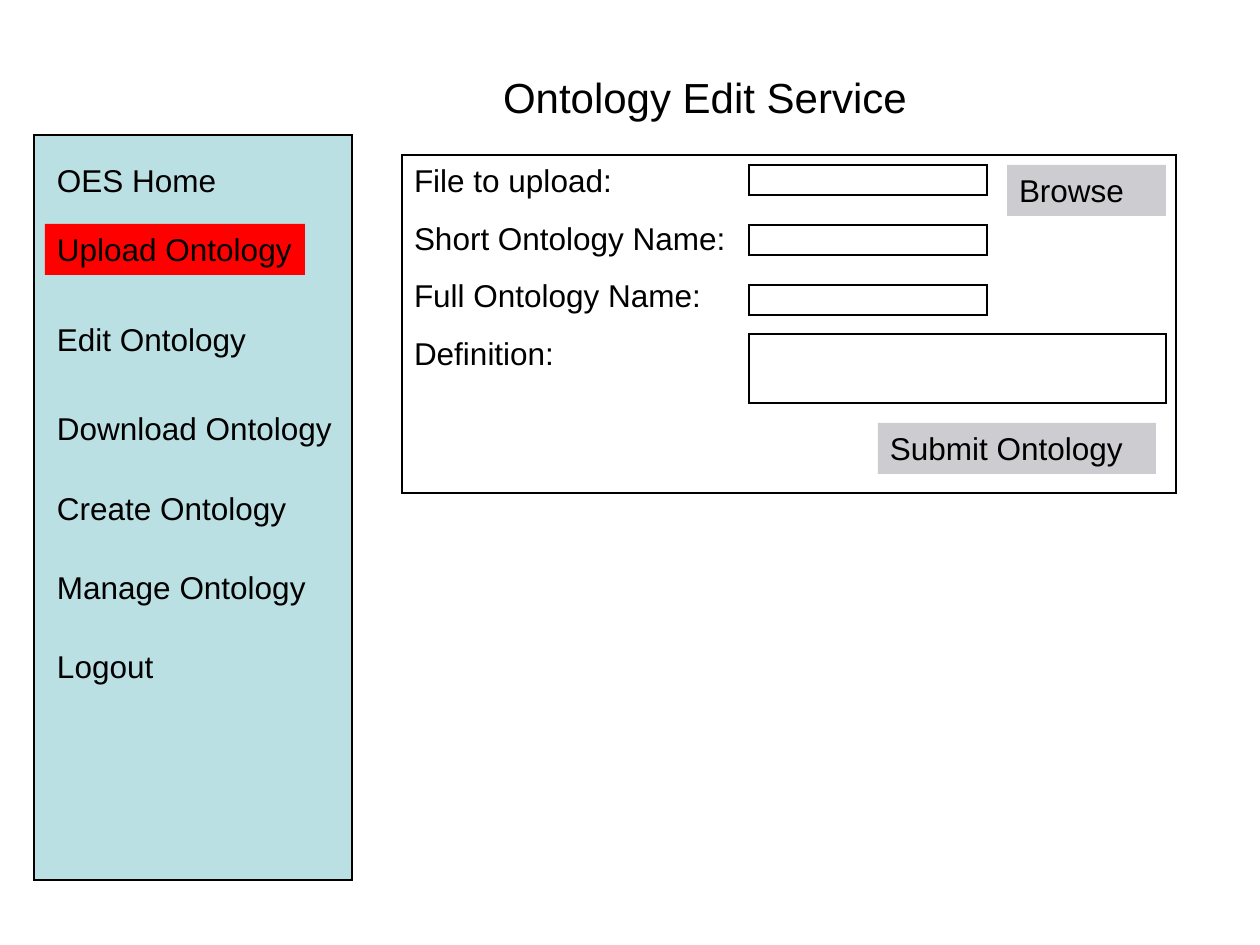
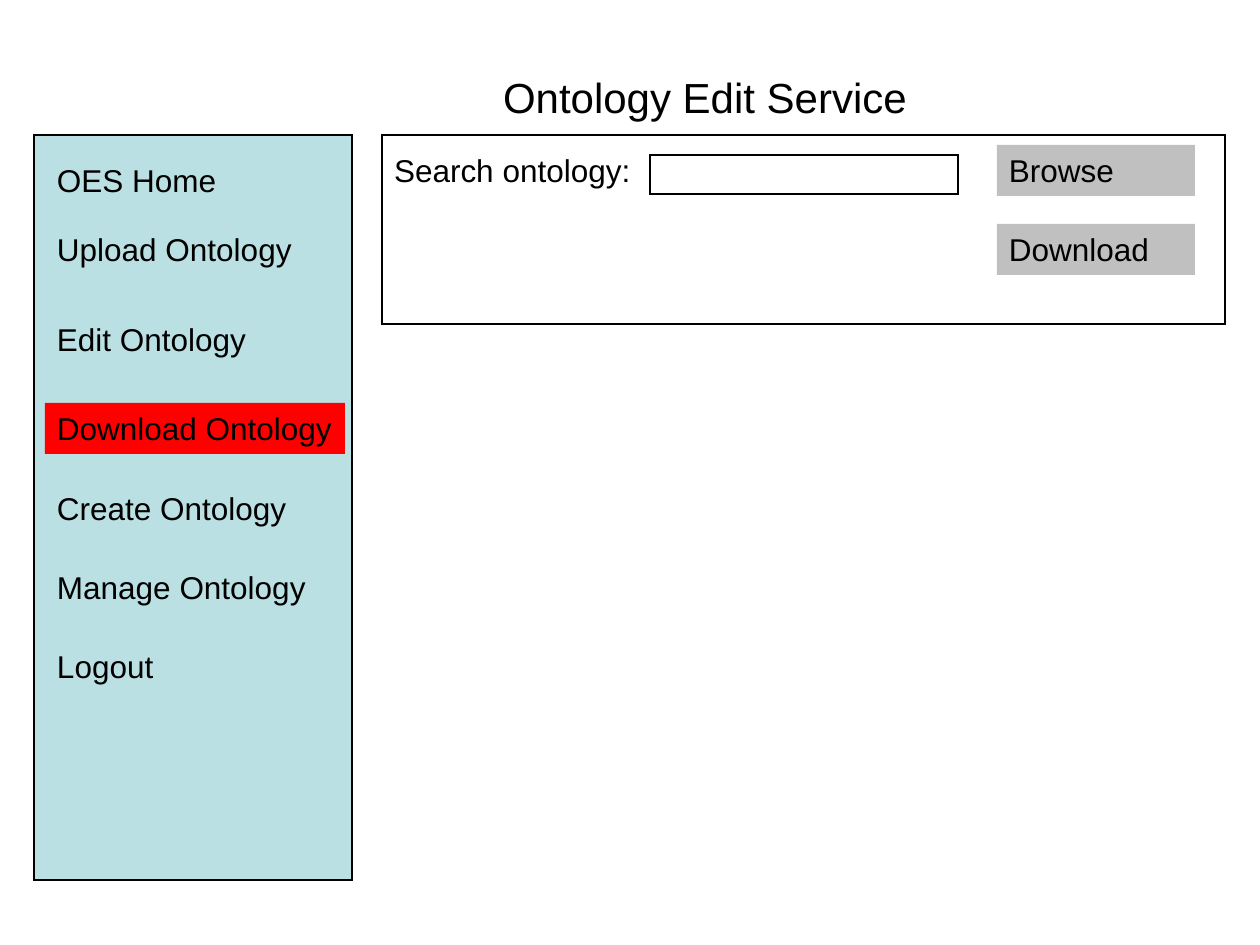
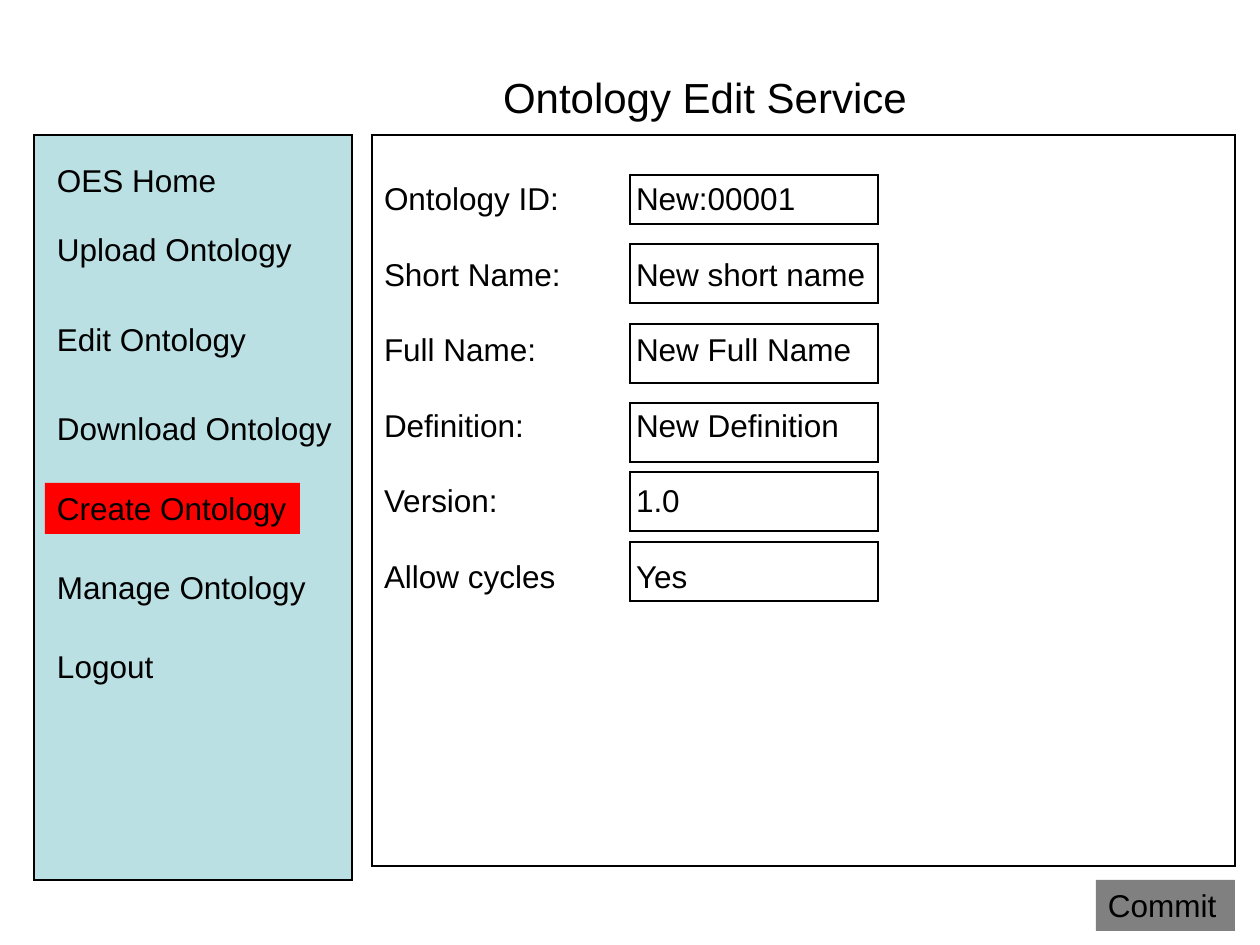
from lxml import etree
from pptx import Presentation
from pptx.dml.color import RGBColor
from pptx.enum.shapes import MSO_SHAPE
from pptx.enum.text import MSO_ANCHOR, PP_ALIGN
from pptx.oxml.ns import qn
from pptx.util import Pt

RECTANGLE = MSO_SHAPE.RECTANGLE
TOP = MSO_ANCHOR.TOP
LEFT = PP_ALIGN.LEFT

EMU_PER_PX = 914400 / 126
FONT = "Arial"
BLACK = "000000"
SIDEBAR_BLUE = "BBE0E3"
SELECTED_RED = "FF0000"
PALE_GREY = "CDCDD1"
SILVER = "C0C0C0"
DARK_GREY = "808080"

BODY_SIZE = 18
TITLE_SIZE = 24
LINE_HEIGHT = 1.2
INSET_X, INSET_Y = 12, 6
ROW_HEIGHT = 51

# Label, top and width of each menu entry
MENU = [
    ("OES Home", 155, 184),
    ("Upload Ontology", 224, 260),
    ("Edit Ontology", 314, 214),
    ("Download Ontology", 403, 300),
    ("Create Ontology", 483, 255),
    ("Manage Ontology", 562, 273),
    ("Logout", 641, 121),
]


def px(length):
    return round(length * EMU_PER_PX)


def color(hex_string):
    return RGBColor.from_string(hex_string)


def add_tab_stop(paragraph, position):
    properties = paragraph._p.get_or_add_pPr()
    tab_list = etree.SubElement(properties, qn("a:tabLst"))
    etree.SubElement(tab_list, qn("a:tab"), pos=str(px(position)), algn="l")


def write_text(shape, lines, size=BODY_SIZE, gap=0, inset_top=INSET_Y, tab=None, wrap=True):
    """Fill a shape with left-aligned paragraphs, gap points apart."""
    text_frame = shape.text_frame
    text_frame.word_wrap = wrap
    text_frame.vertical_anchor = TOP
    text_frame.margin_left = text_frame.margin_right = px(INSET_X)
    text_frame.margin_top, text_frame.margin_bottom = px(inset_top), px(INSET_Y)
    text_frame.text = "\n".join(lines)
    for index, paragraph in enumerate(text_frame.paragraphs):
        paragraph.alignment = LEFT
        paragraph.line_spacing = Pt(size * LINE_HEIGHT)
        if index and gap:
            paragraph.space_before = Pt(gap)
        if tab:
            add_tab_stop(paragraph, tab)
        for run in paragraph.runs:
            run.font.name = FONT
            run.font.size = Pt(size)
            run.font.color.rgb = color(BLACK)


def add_box(slide, left, top, width, height, fill=None, outlined=True):
    shape = slide.shapes.add_shape(RECTANGLE, px(left), px(top), px(width), px(height))
    shape.shadow.inherit = False
    if fill:
        shape.fill.solid()
        shape.fill.fore_color.rgb = color(fill)
    else:
        shape.fill.background()
    if outlined:
        shape.line.color.rgb = color(BLACK)
        shape.line.width = Pt(0.75)
        outline = shape._element.spPr.find(qn("a:ln"))
        etree.SubElement(outline, qn("a:miter"), lim="800000")
    else:
        shape.line.fill.background()
    return shape


def add_label(slide, text, left, top, width, fill=None, height=ROW_HEIGHT, size=BODY_SIZE):
    """Add one line of text on an unoutlined rectangle."""
    label = add_box(slide, left, top, width, height, fill, outlined=False)
    write_text(label, [text], size, wrap=False)


def add_page(presentation, selected):
    """Add a slide with the title and the menu, one entry highlighted."""
    slide = presentation.slides.add_slide(presentation.slide_layouts[6])
    add_label(slide, "Ontology Edit Service", 491, 66, 437, height=59, size=TITLE_SIZE)
    add_box(slide, 34, 135, 318, 745, SIDEBAR_BLUE)
    for text, top, width in MENU:
        fill = SELECTED_RED if text == selected else None
        add_label(slide, text, 45, top, width, fill)
    return slide


def add_upload_page(presentation):
    slide = add_page(presentation, "Upload Ontology")
    panel = add_box(slide, 402, 155, 774, 338)
    labels = ["File to upload:", "Short Ontology Name:", "Full Ontology Name:", "Definition:"]
    write_text(panel, labels, gap=11.4)
    for row in range(3):
        add_box(slide, 749, 165 + row * 60, 238, 30)
    add_box(slide, 749, 334, 417, 69)
    add_label(slide, "Submit Ontology", 878, 423, 278, PALE_GREY)
    add_label(slide, "Browse", 1007, 165, 159, PALE_GREY)


def add_download_page(presentation):
    slide = add_page(presentation, "Download Ontology")
    add_box(slide, 382, 135, 843, 189)
    add_label(slide, "Search ontology:", 382, 145, 261)
    add_box(slide, 650, 155, 308, 39)
    for text, top in (("Browse", 145), ("Download", 224)):
        add_label(slide, text, 997, top, 198, SILVER)


def add_create_page(presentation):
    slide = add_page(presentation, "Create Ontology")
    panel = add_box(slide, 372, 135, 863, 731)
    entries = [
        ("Ontology ID:", "New:00001"),
        ("Short Name:", "New short name"),
        ("Full Name:", "New Full Name"),
        ("Definition:", "New Definition"),
        ("Version:", "1.0"),
        ("Allow cycles", "Yes"),
    ]
    write_text(panel, ["\t".join(entry) for entry in entries], gap=21.6, inset_top=44, tab=252)
    add_box(slide, 630, 175, 248, 49)
    for top in (244, 324, 403, 472, 542):
        add_box(slide, 630, top, 248, 59)
    add_label(slide, "Commit", 1096, 880, 139, DARK_GREY)


def main():
    presentation = Presentation()
    presentation.slide_width = px(1260)
    presentation.slide_height = px(945)
    add_upload_page(presentation)
    add_download_page(presentation)
    add_create_page(presentation)
    presentation.save("out.pptx")


if __name__ == "__main__":
    main()
